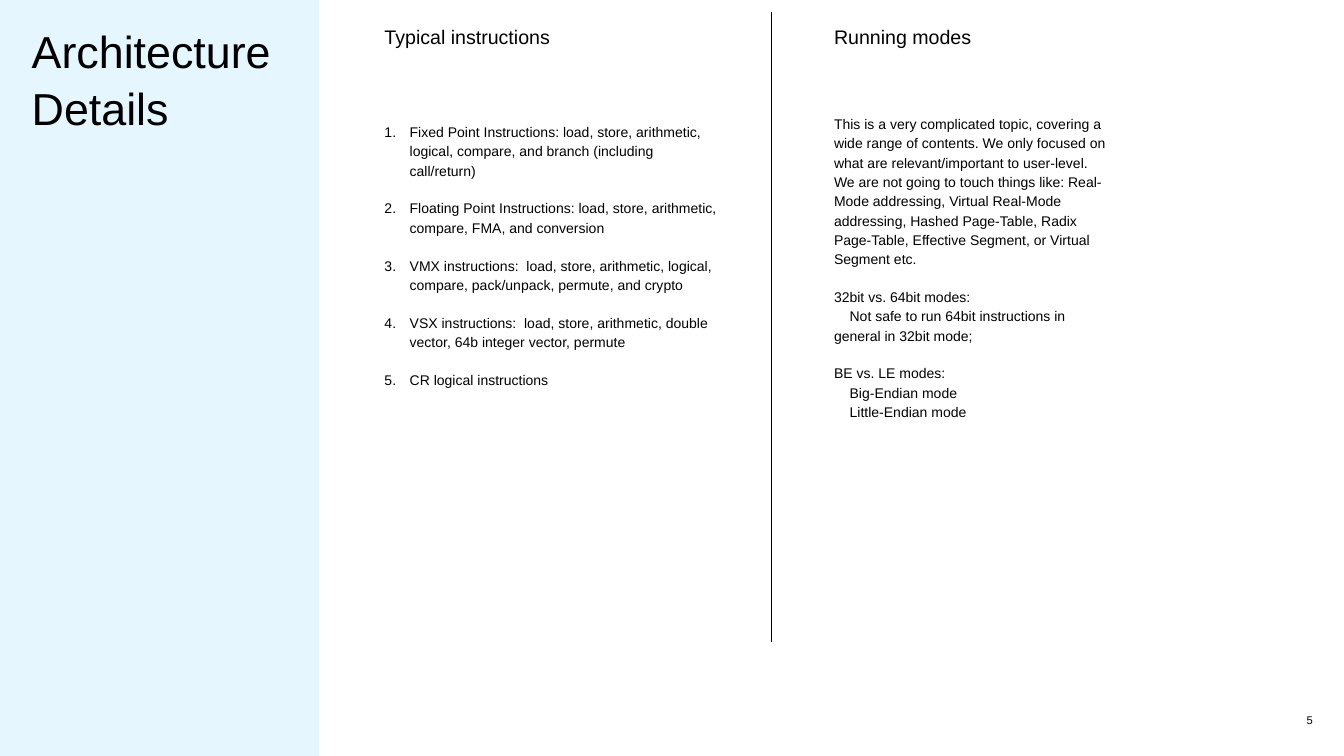
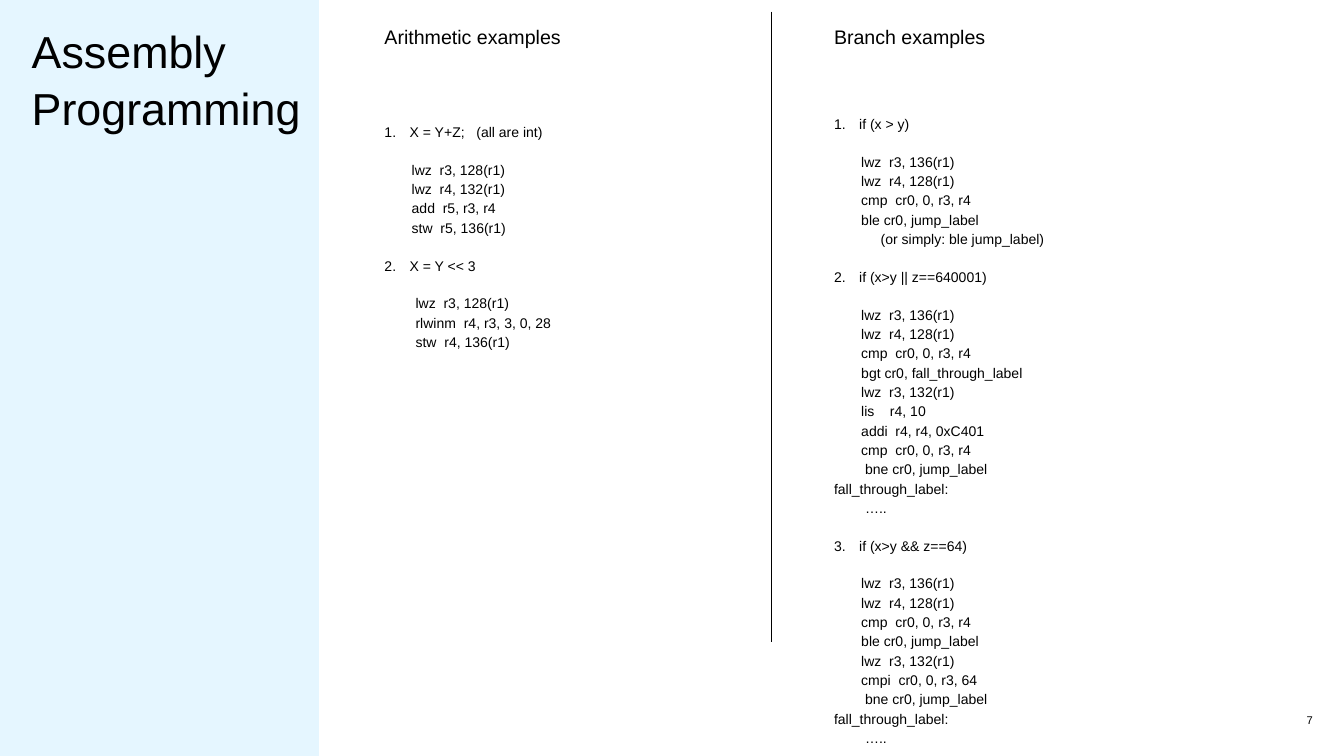
from lxml import etree
from pptx import Presentation
from pptx.dml.color import RGBColor
from pptx.enum.shapes import MSO_CONNECTOR, MSO_SHAPE
from pptx.enum.text import MSO_ANCHOR, PP_ALIGN
from pptx.oxml.ns import qn
from pptx.util import Inches, Pt

RECTANGLE = MSO_SHAPE.RECTANGLE
STRAIGHT = MSO_CONNECTOR.STRAIGHT
MIDDLE = MSO_ANCHOR.MIDDLE
RIGHT = PP_ALIGN.RIGHT

BLACK = RGBColor(0x00, 0x00, 0x00)
WHITE = RGBColor(0xFF, 0xFF, 0xFF)
PALE_BLUE = RGBColor(0xE5, 0xF6, 0xFF)

# Each body is a list of (style, lines) blocks.
SLIDES = [
    {
        "title": "Architecture\vDetails",
        "number": "5",
        "columns": [
            ("Typical instructions", [
                ("number", [
                    "Fixed Point Instructions: load, store, arithmetic, logical, "
                    "compare, and branch (including call/return)",
                    "Floating Point Instructions: load, store, arithmetic, compare, "
                    "FMA, and conversion",
                    "VMX instructions:  load, store, arithmetic, logical, compare, "
                    "pack/unpack, permute, and crypto",
                    "VSX instructions:  load, store, arithmetic, double vector, "
                    "64b integer vector, permute",
                    "CR logical instructions",
                ]),
            ]),
            ("Running modes", [
                ("plain", [
                    "This is a very complicated topic, covering a wide range of "
                    "contents. We only focused on what are relevant/important to "
                    "user-level. We are not going to touch things like: Real-Mode "
                    "addressing, Virtual Real-Mode addressing, Hashed Page-Table, "
                    "Radix Page-Table, Effective Segment, or Virtual Segment etc.",
                    "32bit vs. 64bit modes:",
                ]),
                ("detail", [
                    "Not safe to run 64bit instructions in general in 32bit mode;",
                ]),
                ("plain", ["BE vs. LE modes:"]),
                ("detail", ["Big-Endian mode", "Little-Endian mode"]),
            ]),
        ],
    },
    {
        "title": "Assembly\vProgramming",
        "number": "7",
        "columns": [
            ("Arithmetic examples", [
                ("number", ["X = Y+Z;   (all are int)"]),
                ("code", [
                    "       lwz  r3, 128(r1)",
                    "       lwz  r4, 132(r1)",
                    "       add  r5, r3, r4",
                    "       stw  r5, 136(r1)",
                ]),
                ("number", ["X = Y << 3"]),
                ("code", [
                    "        lwz  r3, 128(r1)",
                    "        rlwinm  r4, r3, 3, 0, 28",
                    "        stw  r4, 136(r1)",
                ]),
            ]),
            ("Branch examples", [
                ("number", ["if (x > y)"]),
                ("code", [
                    "       lwz  r3, 136(r1)",
                    "       lwz  r4, 128(r1)",
                    "       cmp  cr0, 0, r3, r4",
                    "       ble cr0, jump_label",
                    "            (or simply: ble jump_label)",
                ]),
                ("number", ["if (x>y || z==640001)"]),
                ("code", [
                    "       lwz  r3, 136(r1)",
                    "       lwz  r4, 128(r1)",
                    "       cmp  cr0, 0, r3, r4",
                    "       bgt cr0, fall_through_label",
                    "       lwz  r3, 132(r1)",
                    "       lis    r4, 10",
                    "       addi  r4, r4, 0xC401",
                    "       cmp  cr0, 0, r3, r4",
                    "        bne cr0, jump_label",
                    "fall_through_label:",
                    "        …..",
                ]),
                ("number", ["if (x>y && z==64)"]),
                ("code", [
                    "       lwz  r3, 136(r1)",
                    "       lwz  r4, 128(r1)",
                    "       cmp  cr0, 0, r3, r4",
                    "       ble cr0, jump_label",
                    "       lwz  r3, 132(r1)",
                    "       cmpi  cr0, 0, r3, 64",
                    "        bne cr0, jump_label",
                    "fall_through_label:",
                    "        …..",
                ]),
            ]),
        ],
    },
]

# Left, top, width, height in inches
PANEL = (-0.05, 0, 6.38, 15)
TITLE = (0.63, 0.42, 12.07, 5)
PAGE_NUMBER = (25.75, 14.15, 0.3, 0.27)
HEADINGS = [(7.63, 0.42, 5.42, 1.67), (16.55, 0.42, 5.42, 1.67)]
BODIES = [(7.63, 2.4, 6.73, 5), (16.55, 2.24, 5.42, 12.76)]
DIVIDER = (15.3, 0.23, 15.3, 12.73)

LINE_GAP = Pt(26.4)
LIST_INDENT = Inches(0.5)
DETAIL_INDENT = Inches(0.31)
TITLE_FORMAT = {"size": Pt(64), "name": "Arial"}
HEADING_FORMAT = {"size": Pt(28), "name": "Arial"}
BODY_FORMAT = {"size": Pt(20), "name": "Arial"}
NUMBER_FORMAT = {"size": Pt(16), "name": "Arial"}

# Margin and first-line indent, space before the block, space between its lines
STYLES = {
    "plain": (0, 0, LINE_GAP, LINE_GAP),
    "detail": (0, DETAIL_INDENT, 0, 0),
    "number": (LIST_INDENT, -LIST_INDENT, LINE_GAP, LINE_GAP),
    "code": (0, 0, LINE_GAP, 0),
}


def inches(lengths):
    return [Inches(length) for length in lengths]


def add_box(page, place):
    frame = page.shapes.add_textbox(*inches(place)).text_frame
    frame.word_wrap = True
    for side in ("left", "top", "right", "bottom"):
        setattr(frame, f"margin_{side}", 0)
    return frame


def write(para, text, text_format, line_spacing):
    para.text = text
    para.line_spacing = line_spacing
    for span in para.runs:
        span.font.color.rgb = BLACK
        for name, value in text_format.items():
            setattr(span.font, name, value)


def number_paragraph(para, start):
    bullet = etree.SubElement(para._p.get_or_add_pPr(), qn("a:buAutoNum"))
    bullet.set("type", "arabicPeriod")
    if start > 1:
        bullet.set("startAt", str(start))


def write_body(frame, blocks):
    para = frame.paragraphs[0]
    numbered = 0
    for block_index, (style, lines) in enumerate(blocks):
        margin, indent, gap_before, gap_between = STYLES[style]
        first_number = numbered + 1
        for line_index, line in enumerate(lines):
            if block_index or line_index:
                para = frame.add_paragraph()
            properties = para._p.get_or_add_pPr()
            properties.set("marL", str(margin))
            properties.set("indent", str(indent))
            if style == "number":
                numbered += 1
                number_paragraph(para, first_number)
            write(para, line, BODY_FORMAT, 1.15)
            if block_index or line_index:
                para.space_before = gap_between if line_index else gap_before


def add_panel(page):
    panel = page.shapes.add_shape(RECTANGLE, *inches(PANEL))
    panel.shadow.inherit = False
    panel.fill.solid()
    panel.fill.fore_color.rgb = PALE_BLUE
    panel.line.color.rgb = PALE_BLUE
    panel.line.width = Pt(1.5)


def add_divider(page):
    divider = page.shapes.add_connector(STRAIGHT, *inches(DIVIDER))
    divider.line.color.rgb = BLACK
    divider.line.width = Pt(1)
    etree.SubElement(divider._element.spPr, qn("a:effectLst"))


def add_page_number(page, number):
    frame = add_box(page, PAGE_NUMBER)
    frame.vertical_anchor = MIDDLE
    para = frame.paragraphs[0]
    para.alignment = RIGHT
    write(para, number, NUMBER_FORMAT, 1.0)


def build_slide(deck, content):
    page = deck.slides.add_slide(deck.slide_layouts[6])
    page.background.fill.solid()
    page.background.fill.fore_color.rgb = WHITE
    add_panel(page)
    title = add_box(page, TITLE)
    title.margin_right = Inches(0.5)
    write(title.paragraphs[0], content["title"], TITLE_FORMAT, 1.05)
    for (heading, _), place in zip(content["columns"], HEADINGS):
        write(add_box(page, place).paragraphs[0], heading, HEADING_FORMAT, 1.15)
    for (_, blocks), place in zip(content["columns"], BODIES):
        write_body(add_box(page, place), blocks)
    add_page_number(page, content["number"])
    add_divider(page)


def main():
    deck = Presentation()
    deck.slide_width = Inches(26.67)
    deck.slide_height = Inches(15)
    for content in SLIDES:
        build_slide(deck, content)
    deck.save("out.pptx")


if __name__ == "__main__":
    main()
